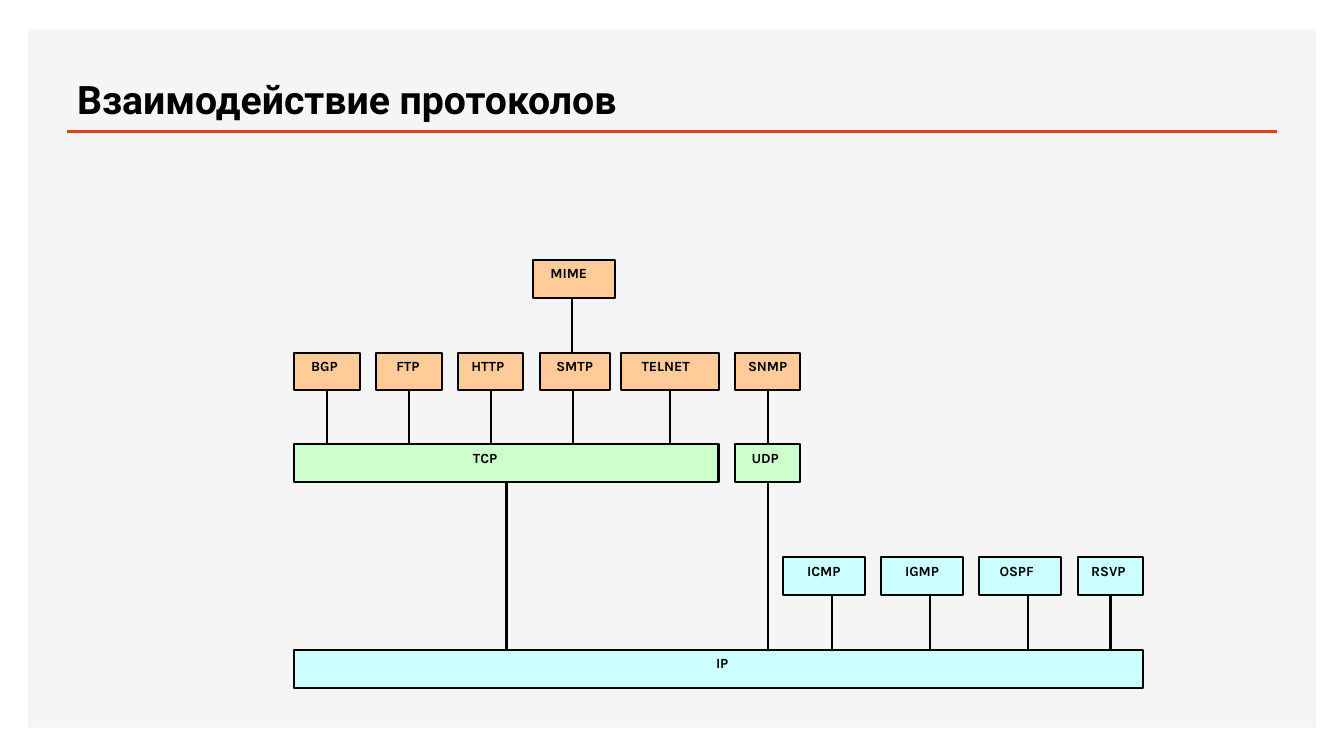
from lxml import etree
from pptx import Presentation
from pptx.dml.color import RGBColor
from pptx.enum import shapes, text
from pptx.oxml import ns
from pptx.util import Cm, Pt

BLACK = RGBColor(0x00, 0x00, 0x00)
PANEL = RGBColor(0xF5, 0xF5, 0xF5)
RULE = RGBColor(0xD2, 0x47, 0x26)
APPLICATION = RGBColor(0xFF, 0xCC, 0x99)
TRANSPORT = RGBColor(0xCC, 0xFF, 0xCC)
NETWORK = RGBColor(0xCC, 0xFF, 0xFF)

BAR_HEIGHT = Cm(0.95)
NARROW, MEDIUM, WIDE = 1.65, 2.06, 2.46


def add_rect(slide, left, top, width, height, color):
    rect = slide.shapes.add_shape(shapes.MSO_SHAPE.RECTANGLE, left, top, width, height)
    rect.shadow.inherit = False
    rect.fill.solid()
    rect.fill.fore_color.rgb = color
    return rect


def add_line(slide, x1, y1, x2, y2, color, weight):
    line = slide.shapes.add_connector(shapes.MSO_CONNECTOR.STRAIGHT, x1, y1, x2, y2)
    line.line.color.rgb = color
    line.line.width = Pt(weight)
    etree.SubElement(line.element.spPr, ns.qn("a:effectLst"))
    return line


def add_label(frame, words, font, size):
    paragraph = frame.paragraphs[0]
    run = paragraph.add_run()
    run.text = words
    run.font.name = font
    run.font.size = Pt(size)
    run.font.bold = True
    run.font.color.rgb = BLACK
    return paragraph


def add_header(slide, left, top, width, height):
    panel = add_rect(slide, Cm(0.71), Cm(0.74), Cm(32.46), Cm(17.6), PANEL)
    panel.line.fill.background()
    rule_y = top + height + Cm(0.1)
    add_line(slide, left, rule_y, left + width, rule_y, RULE, 2)

    heading = slide.shapes.title
    slide.shapes.element.append(heading.element)
    heading.left, heading.top, heading.width, heading.height = left, top, width, height
    frame = heading.text_frame
    frame.auto_size = text.MSO_AUTO_SIZE.NONE
    frame.vertical_anchor = text.MSO_ANCHOR.BOTTOM
    label = add_label(frame, "Взаимодействие протоколов", "Roboto", 28)
    label.alignment = text.PP_ALIGN.LEFT


def add_protocol(slide, name, left, top, width, color, indent):
    protocol = add_rect(slide, left, top, width, BAR_HEIGHT, color)
    protocol.line.color.rgb = BLACK
    protocol.line.width = Pt(1.5)
    frame = protocol.text_frame
    frame.word_wrap = True
    frame.vertical_anchor = text.MSO_ANCHOR.TOP
    label = add_label(frame, name, "Karla", 10)
    if indent is None:
        label.alignment = text.PP_ALIGN.CENTER
    else:
        label.alignment = text.PP_ALIGN.LEFT
        frame.margin_left = Cm(indent)
        frame.margin_right = 0
    return protocol


def link(slide, upper, lower, shift):
    x = upper.left + upper.width // 2 + Cm(shift)
    wire = add_line(slide, x, upper.top + upper.height, x, lower.top, BLACK, 1.5)
    if shift == 0:
        wire.begin_connect(upper, 2)
        if abs(lower.left + lower.width // 2 - x) < Cm(0.02):
            wire.end_connect(lower, 0)


def add_stack(slide, left, top, width):
    mail_row, app_row, transport_row, control_row, ip_row = 0, 2.34, 4.65, 7.49, 9.83
    app_pitch, control_pitch = 2.06, 2.47
    udp_left, control_left = 11.1, 12.32
    full = width / Cm(1)

    layers = [
        (APPLICATION, mail_row, [("MIME", 6.02, MEDIUM, 0.43)]),
        (APPLICATION, app_row, [
            ("BGP", 0, NARROW, 0.42),
            ("FTP", app_pitch, NARROW, 0.51),
            ("HTTP", 2 * app_pitch, NARROW, 0.34),
            ("SMTP", 3 * app_pitch, 1.78, 0.42),
            ("TELNET", 4 * app_pitch, WIDE, 0.51),
            ("SNMP", udp_left, NARROW, None),
        ]),
        (TRANSPORT, transport_row, [
            ("TCP", 0, 10.69, 4.5),
            ("UDP", udp_left, NARROW, 0.42),
        ]),
        (NETWORK, control_row, [
            ("ICMP", control_left, MEDIUM, 0.6),
            ("IGMP", control_left + control_pitch, MEDIUM, 0.6),
            ("OSPF", control_left + 2 * control_pitch, MEDIUM, 0.51),
            ("RSVP", full - NARROW, NARROW, 0.34),
        ]),
        (NETWORK, ip_row, [("IP", 0, full, None)]),
    ]
    protocols = {}
    for color, row, members in layers:
        for name, x, span, indent in members:
            protocols[name] = add_protocol(
                slide, name, left + Cm(x), top + Cm(row), Cm(span), color, indent)
    protocols["IP"].text_frame.margin_left = Cm(0.42)

    carriers = {
        "SMTP": [("MIME", -0.06)],
        "TCP": [("BGP", 0), ("FTP", 0), ("HTTP", 0), ("SMTP", -0.06), ("TELNET", 0)],
        "UDP": [("SNMP", 0)],
        "IP": [("TCP", 0), ("UDP", 0), ("ICMP", 0.2), ("IGMP", 0.2),
               ("OSPF", 0.2), ("RSVP", 0)],
    }
    for carrier, riders in carriers.items():
        for rider, shift in riders:
            link(slide, protocols[rider], protocols[carrier], shift)


def main():
    deck = Presentation()
    deck.slide_width, deck.slide_height = Cm(33.87), Cm(19.05)
    slide = deck.slides.add_slide(deck.slide_layouts[5])
    add_header(slide, Cm(1.69), Cm(0.43), Cm(30.48), Cm(2.79))
    add_stack(slide, Cm(7.42), Cm(6.55), Cm(21.39))
    deck.save("out.pptx")


if __name__ == "__main__":
    main()
